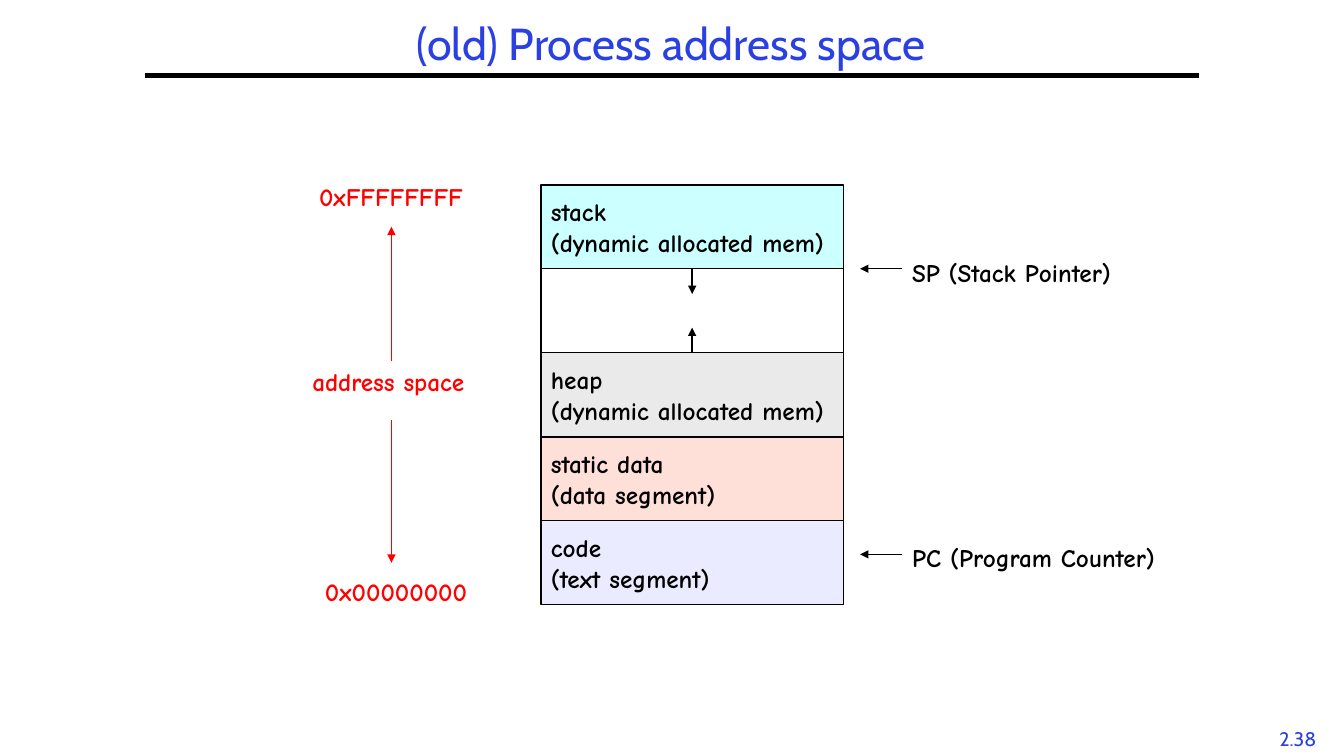
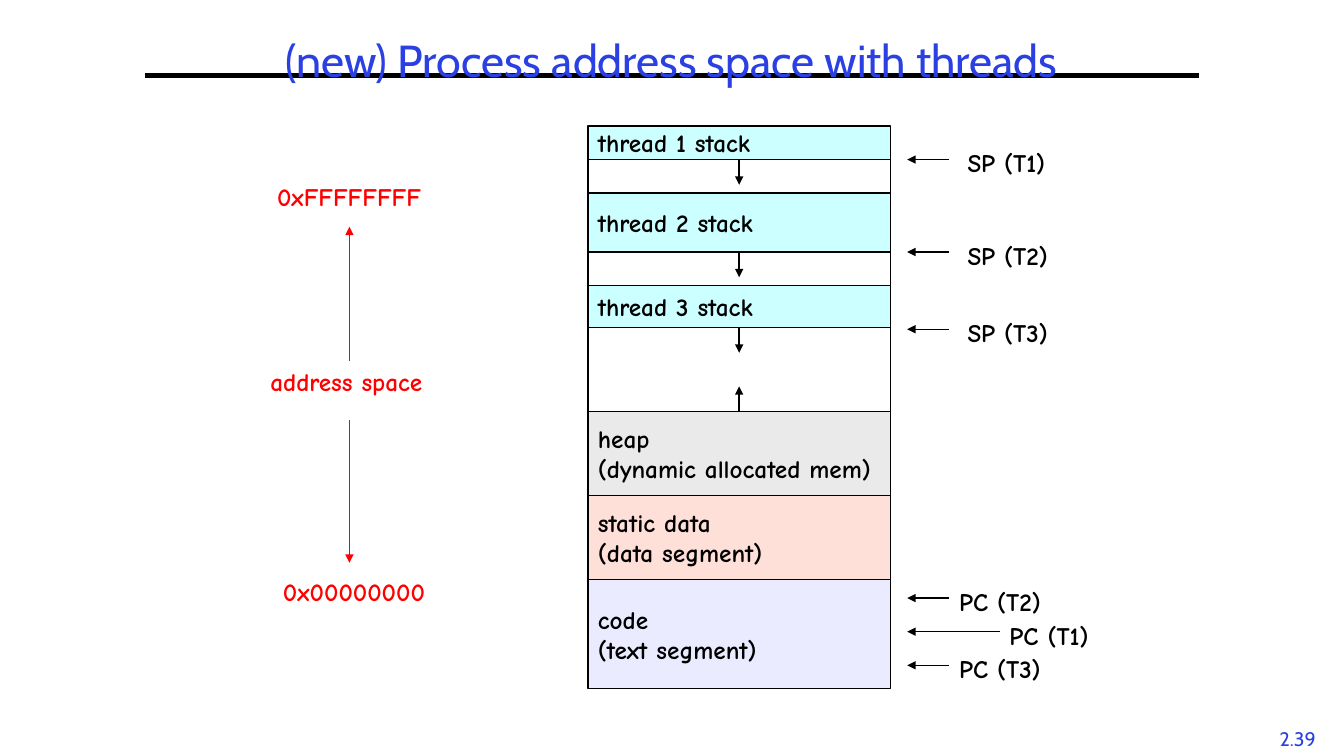
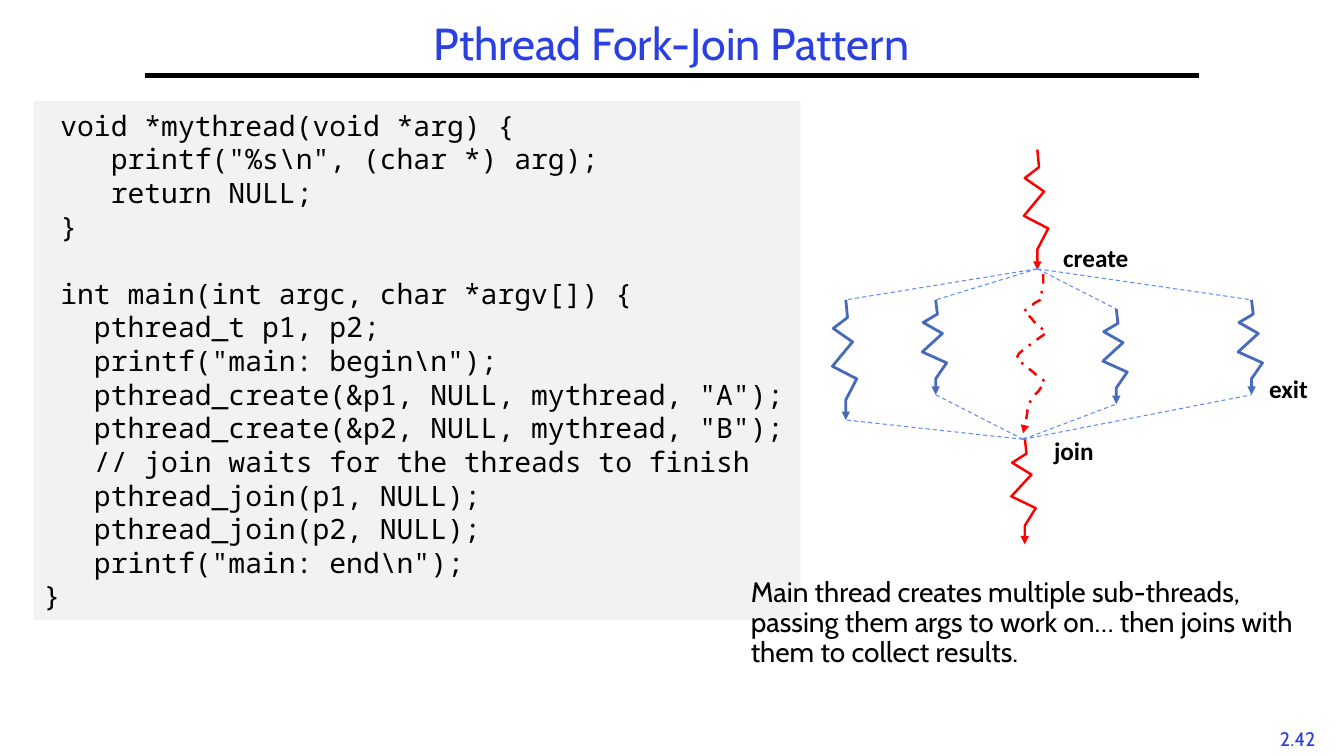
from lxml.etree import SubElement
from pptx import Presentation
from pptx.dml.color import RGBColor
from pptx.enum.dml import MSO_LINE_DASH_STYLE as DASH
from pptx.enum.shapes import MSO_CONNECTOR, MSO_SHAPE
from pptx.enum.text import MSO_ANCHOR, MSO_AUTO_SIZE, PP_ALIGN
from pptx.oxml.ns import qn
from pptx.util import Emu, Pt

# Style
PX = 7620  # EMU per px: 120 px to the inch
BLACK = RGBColor(0x00, 0x00, 0x00)
WHITE = RGBColor(0xFF, 0xFF, 0xFF)
RED = RGBColor(0xFF, 0x00, 0x00)
TITLE_BLUE = RGBColor(0x2A, 0x40, 0xE2)
THREAD_BLUE = RGBColor(0x48, 0x6A, 0xBB)
LINK_BLUE = RGBColor(0x5B, 0x8A, 0xFB)
STACK_CYAN = RGBColor(0xCC, 0xFF, 0xFF)
HEAP_GRAY = RGBColor(0xEA, 0xEA, 0xEA)
DATA_PINK = RGBColor(0xFF, 0xE0, 0xD9)
CODE_LILAC = RGBColor(0xEB, 0xEB, 0xFF)
LISTING_GRAY = RGBColor(0xF2, 0xF2, 0xF2)
HEAD, COMIC, LABEL, MONO = "Cabin", "Comic Neue", "Calibri", "Noto Sans Mono"


def px(*lengths):
    return [Emu(n * PX) for n in lengths]


def bezier(start, *curves, steps=6):
    """Points along joined cubic curves, each given as (control, control, end)."""
    points = [start]
    for c1, c2, end in curves:
        corners = (points[-1], c1, c2, end)
        for i in range(1, steps + 1):
            t = i / steps
            weights = ((1 - t) ** 3, 3 * t * (1 - t) ** 2, 3 * t * t * (1 - t), t ** 3)
            points.append(tuple(round(sum(w * c[k] for w, c in zip(weights, corners)), 2)
                                for k in (0, 1)))
    return points


class Deck:
    def __init__(self):
        self.prs = Presentation()
        self.prs.slide_width, self.prs.slide_height = px(1600, 900)
        self.s = None

    # Basic elements
    def fill_text(self, shape, text, font, size, color=BLACK, bold=False,
                  align=PP_ALIGN.LEFT, anchor=MSO_ANCHOR.TOP, spacing=None):
        tf = shape.text_frame
        tf.text = text
        tf.word_wrap = True
        tf.auto_size = MSO_AUTO_SIZE.NONE
        tf.vertical_anchor = anchor
        for p in tf.paragraphs:
            p.alignment = align
            p.line_spacing = spacing
            if not p.runs:
                p._p.get_or_add_endParaRPr().set("sz", str(size * 100))
            for r in p.runs:
                r.font.name, r.font.size, r.font.bold = font, Pt(size), bold
                r.font.color.rgb = color

    def text(self, x, y, w, h, text, font, size, **style):
        self.fill_text(self.s.shapes.add_textbox(*px(x, y, w, h)), text, font, size, **style)

    def label(self, x, y, w, text, font=COMIC, color=BLACK):
        self.text(x, y, w, 48, text, font, 18, color=color, bold=True)

    def rect(self, x, y, w, h, fill, outline=None):
        sp = self.s.shapes.add_shape(MSO_SHAPE.RECTANGLE, *px(x, y, w, h))
        sp.shadow.inherit = False
        sp.fill.solid()
        sp.fill.fore_color.rgb = fill
        if outline is None:
            sp.line.fill.background()
        else:
            sp.line.color.rgb, sp.line.width = outline, Pt(1)
        return sp

    def stroke(self, shape, color, width, dash=None, arrow=False):
        shape.line.color.rgb, shape.line.width = color, Pt(width)
        if dash is not None:
            shape.line.dash_style = dash
        if arrow:
            SubElement(shape.line._get_or_add_ln(), qn("a:tailEnd"), type="triangle")

    def line(self, start, end, color=BLACK, width=1, **style):
        cx = self.s.shapes.add_connector(MSO_CONNECTOR.STRAIGHT, *px(*start, *end))
        self.stroke(cx, color, width, **style)
        SubElement(cx._element.spPr, qn("a:effectLst"))

    def polyline(self, points, color, width, dash=None):
        builder = self.s.shapes.build_freeform(*points[0], scale=PX)
        builder.add_line_segments(points[1:], close=False)
        sp = builder.convert_to_shape()
        sp.shadow.inherit = False
        sp.fill.background()
        self.stroke(sp, color, width, dash, arrow=True)

    # Slide frame
    def slide(self, title, number, box=(173, 20, 1253, 70)):
        self.s = self.prs.slides.add_slide(self.prs.slide_layouts[5])
        self.text(1510, 859, 70, 40, number, HEAD, 14,
                  color=TITLE_BLUE, align=PP_ALIGN.CENTER)
        self.line((173, 90), (1427, 90), width=3)
        sp = self.s.shapes.title
        sp.left, sp.top, sp.width, sp.height = px(*box)
        self.fill_text(sp, title, HEAD, 32, color=TITLE_BLUE, align=PP_ALIGN.CENTER,
                       anchor=MSO_ANCHOR.MIDDLE, spacing=0.9)
        # Bring the title in front of the rule
        self.s.shapes._spTree.append(sp._element)

    # Memory diagrams
    def address_space(self, x):
        for dx, y, text in ((15, 680, "0x00000000"), (8, 210, "0xFFFFFFFF"),
                            (0, 430, "address space")):
            self.label(x + dx, y, 232, text, color=RED)
        for y, tip in ((430, 270), (500, 670)):
            self.line((x + 106, y), (x + 106, tip), RED, arrow=True)

    def memory(self, x, y, regions):
        """Stack the regions downwards; stacks grow down, the heap grows up."""
        middle, arrows = x + 180, []
        for text, h, fill in regions:
            sp = self.rect(x, y, 360, h, fill, BLACK)
            if text:
                self.fill_text(sp, text, COMIC, 18, bold=True, anchor=MSO_ANCHOR.MIDDLE)
            if fill == STACK_CYAN:
                arrows.append((y + h, y + h + 30))
            elif fill == HEAP_GRAY:
                arrows.append((y, y - 30))
            y += h
        for start, tip in arrows:
            self.line((middle, start), (middle, tip), arrow=True)

    def pointer(self, tip, y, text, length=50, gap=0):
        self.line((tip + length, y), (tip, y), arrow=True)
        self.label(tip + length + gap, y - 20, 340, text)

    # Thread diagram
    def thread(self, x, y, h, color, width):
        zigzag = ((0, 0), (2, 0.15), (-15, 0.24), (8, 0.35),
                  (-16, 0.55), (13, 0.66), (0, 0.83), (0, 1))
        self.polyline([(x + dx, round(y + h * f)) for dx, f in zigzag], color, width)


def main():
    deck = Deck()
    heap = "heap\n(dynamic allocated mem)"
    data = "static data\n(data segment)"
    code = "code\n(text segment)"

    # Slide 1: one stack
    deck.slide("(old) Process address space", "2.38")
    deck.address_space(360)
    deck.memory(644, 220, [
        ("stack\n(dynamic allocated mem)", 100, STACK_CYAN),
        ("", 100, WHITE),
        (heap, 100, HEAP_GRAY),
        (data, 100, DATA_PINK),
        (code, 100, CODE_LILAC),
    ])
    deck.pointer(1024, 320, "SP (Stack Pointer)")
    deck.pointer(1024, 660, "PC (Program Counter)")

    # Slide 2: one stack per thread
    deck.slide("(new) Process address space with threads", "2.39", (260, 30, 1080, 90))
    deck.address_space(310)
    deck.memory(700, 150, [
        ("thread 1 stack", 40, STACK_CYAN),
        ("", 40, WHITE),
        ("thread 2 stack", 70, STACK_CYAN),
        ("", 40, WHITE),
        ("thread 3 stack", 50, STACK_CYAN),
        ("", 100, WHITE),
        (heap, 100, HEAP_GRAY),
        (data, 100, DATA_PINK),
        (code, 130, CODE_LILAC),
    ])
    for y, text in ((190, "SP (T1)"), (300, "SP (T2)"), (392, "SP (T3)")):
        deck.pointer(1080, y, text, gap=10)
    for y, text, length in ((712, "PC (T2)", 50), (752, "PC (T1)", 110), (792, "PC (T3)", 50)):
        deck.pointer(1080, y, text, length)

    # Slide 3: code listing
    deck.slide("Pthread Fork-Join Pattern", "2.42")
    listing = r''' void *mythread(void *arg) {
    printf("%s\n", (char *) arg);
    return NULL;
 }

 int main(int argc, char *argv[]) {
   pthread_t p1, p2;
   printf("main: begin\n");
   pthread_create(&p1, NULL, mythread, "A");
   pthread_create(&p2, NULL, mythread, "B");
   // join waits for the threads to finish
   pthread_join(p1, NULL);
   pthread_join(p2, NULL);
   printf("main: end\n");
}'''
    deck.fill_text(deck.rect(40, 120, 913, 618, LISTING_GRAY), listing, MONO, 20,
                   anchor=MSO_ANCHOR.MIDDLE)

    # Slide 3: fork and join
    fork, join = (1235, 320), (1218, 523)
    deck.thread(1235, 178, 143, RED, 1.75)
    deck.thread(1220, 521, 127, RED, 1.75)
    for x, y, h in ((1007, 357, 143), (1114, 357, 113), (1329, 368, 113), (1490, 357, 113)):
        deck.thread(x, y, h, THREAD_BLUE, 2)
        for start, end in ((fork, (x, y)), (join, (x, y + h))):
            deck.line(start, end, LINK_BLUE, 0.75, dash=DASH.DASH)
    waiting = bezier(
        (1242, 326),
        ((1244, 336), (1238, 344), (1241, 355)),
        ((1234, 360), (1224, 365), (1219, 371)),
        ((1230, 379), (1232, 386), (1246, 395)),
        ((1241, 403), (1213, 415), (1210, 427)),
        ((1218, 432), (1230, 444), (1244, 454)),
        ((1237, 467), (1228, 472), (1223, 484)),
        ((1224, 499), (1218, 508), (1218, 516)),
    )
    deck.polyline(waiting, RED, 1.75, DASH.DASH_DOT)
    for x, y, w, text in ((1254, 282, 127, "create"), (1499, 439, 86, "exit"),
                          (1243, 512, 88, "join")):
        deck.label(x, y, w, text, LABEL)
    deck.text(882, 682, 703, 113,
              "Main thread creates multiple sub-threads, passing them args to work on… "
              "then joins with them to collect results.", HEAD, 20, spacing=0.9)

    deck.prs.save("out.pptx")


if __name__ == "__main__":
    main()
